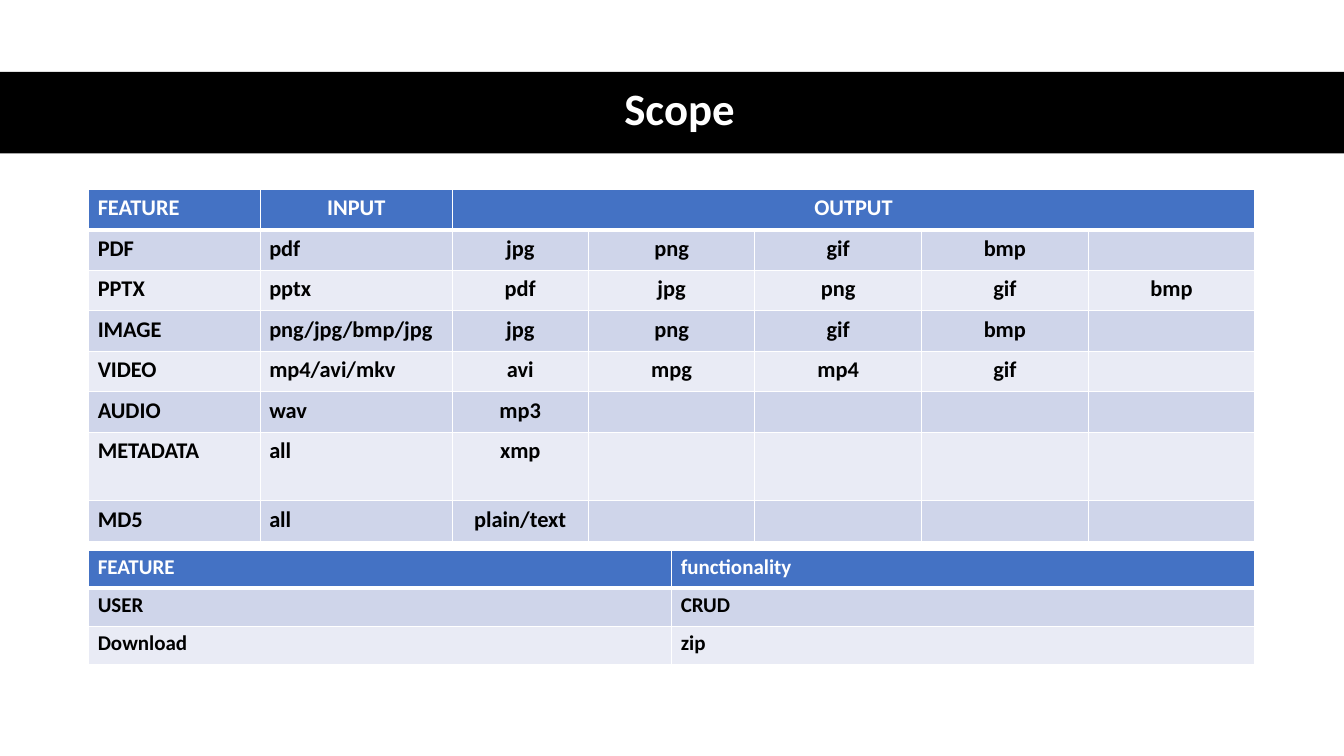
"""Build the Scope slide: a title band over two feature tables."""
from lxml import etree
from pptx import Presentation
from pptx.dml.color import RGBColor
from pptx.enum.shapes import MSO_SHAPE
from pptx.enum.text import MSO_ANCHOR, PP_ALIGN
from pptx.oxml.ns import qn
from pptx.util import Inches, Pt

RECT = MSO_SHAPE.RECTANGLE
MIDDLE = MSO_ANCHOR.MIDDLE
LEFT, CENTER = PP_ALIGN.LEFT, PP_ALIGN.CENTER
BLACK, WHITE, BLUE = "000000", "FFFFFF", "4472C4"
BANDS = ["E9EBF5", "CFD5EA"]

deck = Presentation()
deck.slide_width, deck.slide_height = Inches(13.33), Inches(7.5)
WIDE, HIGH = deck.slide_width / 100, deck.slide_height / 100
slide = deck.slides.add_slide(deck.slide_layouts[6])


def paint(target, color):
    """Give a fill or a font its colour from a hex string."""
    if hasattr(target, "solid"):
        target.solid()
        target = target.fore_color
    else:
        target = target.color
    target.rgb = RGBColor.from_string(color)


def write(para, text, size, color, align):
    """Write one bold line of text."""
    para.alignment = align
    if not text:
        para._p.get_or_add_endParaRPr().set("sz", str(size * 100))
        return
    run = para.add_run()
    run.text = text
    look = {"name": "Calibri", "size": Pt(size), "bold": True}
    for key, value in look.items():
        setattr(run.font, key, value)
    paint(run.font, color)


band = slide.shapes.add_shape(RECT, 0, int(9.5 * HIGH), deck.slide_width, int(10.8 * HIGH))
band.shadow.inherit = False
band.line.fill.background()
paint(band.fill, BLACK)

title = slide.shapes.add_textbox(int(4.58 * WIDE), int(9.33 * HIGH), int(91.97 * WIDE), int(10.8 * HIGH))
frame = title.text_frame
frame.word_wrap = True
frame.vertical_anchor = MIDDLE
frame.paragraphs[0].line_spacing = 0.9
write(frame.paragraphs[0], "Scope", 32, WHITE, CENTER)

formats = [
    ["FEATURE", "INPUT", "OUTPUT"],
    ["PDF", "pdf", "jpg", "png", "gif", "bmp"],
    ["PPTX", "pptx", "pdf", "jpg", "png", "gif", "bmp"],
    ["IMAGE", "png/jpg/bmp/jpg", "jpg", "png", "gif", "bmp"],
    ["VIDEO", "mp4/avi/mkv", "avi", "mpg", "mp4", "gif"],
    ["AUDIO", "wav", "mp3"],
    ["METADATA", "all", "xmp"],
    ["MD5", "all", "plain/text"],
]
extras = [["FEATURE", "functionality"], ["USER", "CRUD"], ["Download", "zip"]]

tables = [
    {"rows": formats, "top": 25.07, "size": 16, "pad": 0.05,
     "cols": [12.76, 14.29, 10.12] + [12.4] * 4,
     "highs": [5.35] * 6 + [9.07, 5.35]},
    {"rows": extras, "top": 72.8, "size": 15, "pad": 0.04,
     "cols": [43.38] * 2, "highs": [5.02] * 3},
]

for part in tables:
    rows, cols, highs = part["rows"], part["cols"], part["highs"]
    grid = slide.shapes.add_table(
        len(rows), len(cols), int(6.6 * WIDE), int(part["top"] * HIGH),
        int(sum(cols) * WIDE), int(sum(highs) * HIGH)).table
    for col, share in zip(grid.columns, cols):
        col.width = int(share * WIDE)
    for r, (words, share) in enumerate(zip(rows, highs)):
        grid.rows[r].height = int(share * HIGH)
        for c in range(len(cols)):
            cell = grid.cell(r, c)
            pads = {"margin_left": 0.09, "margin_right": 0.09,
                    "margin_top": part["pad"], "margin_bottom": part["pad"]}
            for key, value in pads.items():
                setattr(cell, key, Inches(value))
            edges = {"L": 1, "R": 1, "T": 3 if r == 1 else 1, "B": 1 if r else 3}
            for side, points in edges.items():
                line = etree.SubElement(cell._tc.get_or_add_tcPr(), qn("a:ln" + side), w=str(Pt(points)))
                fill = etree.SubElement(line, qn("a:solidFill"))
                etree.SubElement(fill, qn("a:srgbClr"), val=WHITE)
            paint(cell.fill, BANDS[r % 2] if r else BLUE)
            text = words[c] if c < len(words) else ""
            mid = c > 1 or text == "INPUT"
            write(cell.text_frame.paragraphs[0], text, part["size"],
                  BLACK if r else WHITE, CENTER if mid else LEFT)
    if len(rows[0]) < len(cols):
        grid.cell(0, len(rows[0]) - 1).merge(grid.cell(0, len(cols) - 1))

deck.save("out.pptx")
